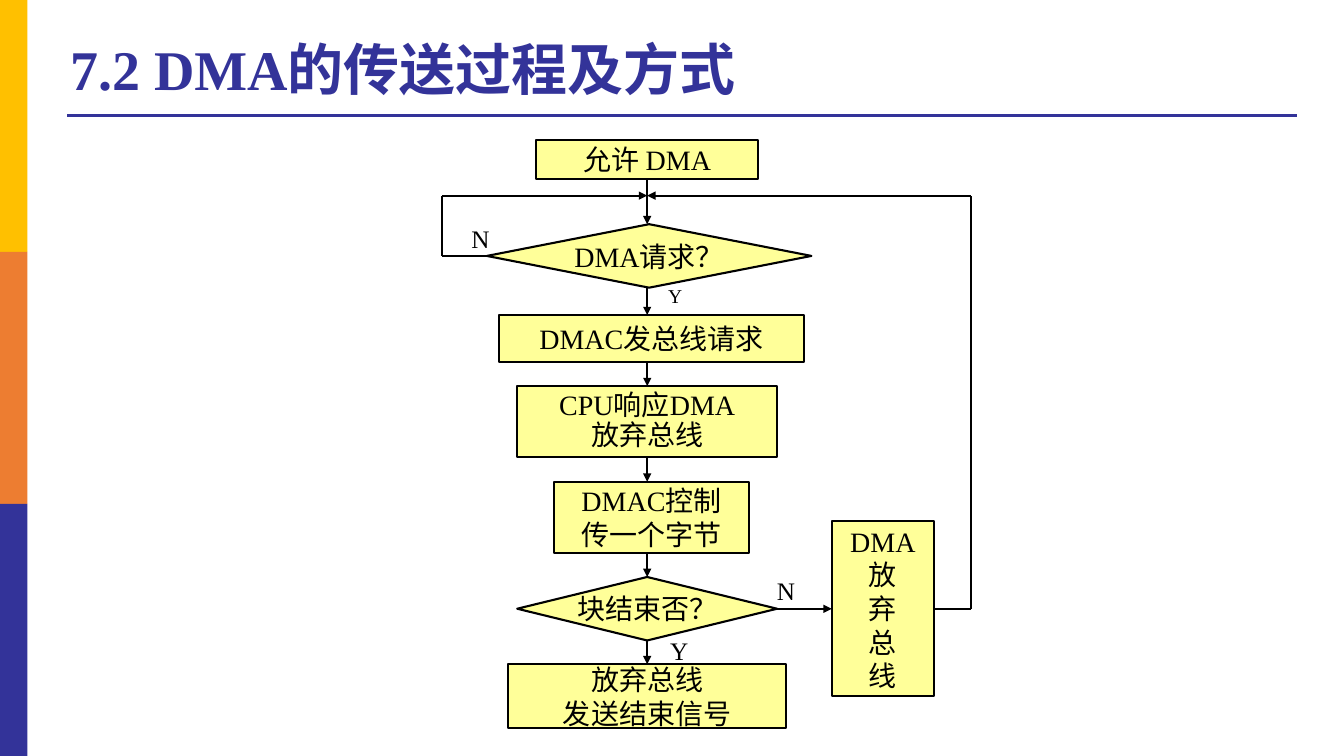
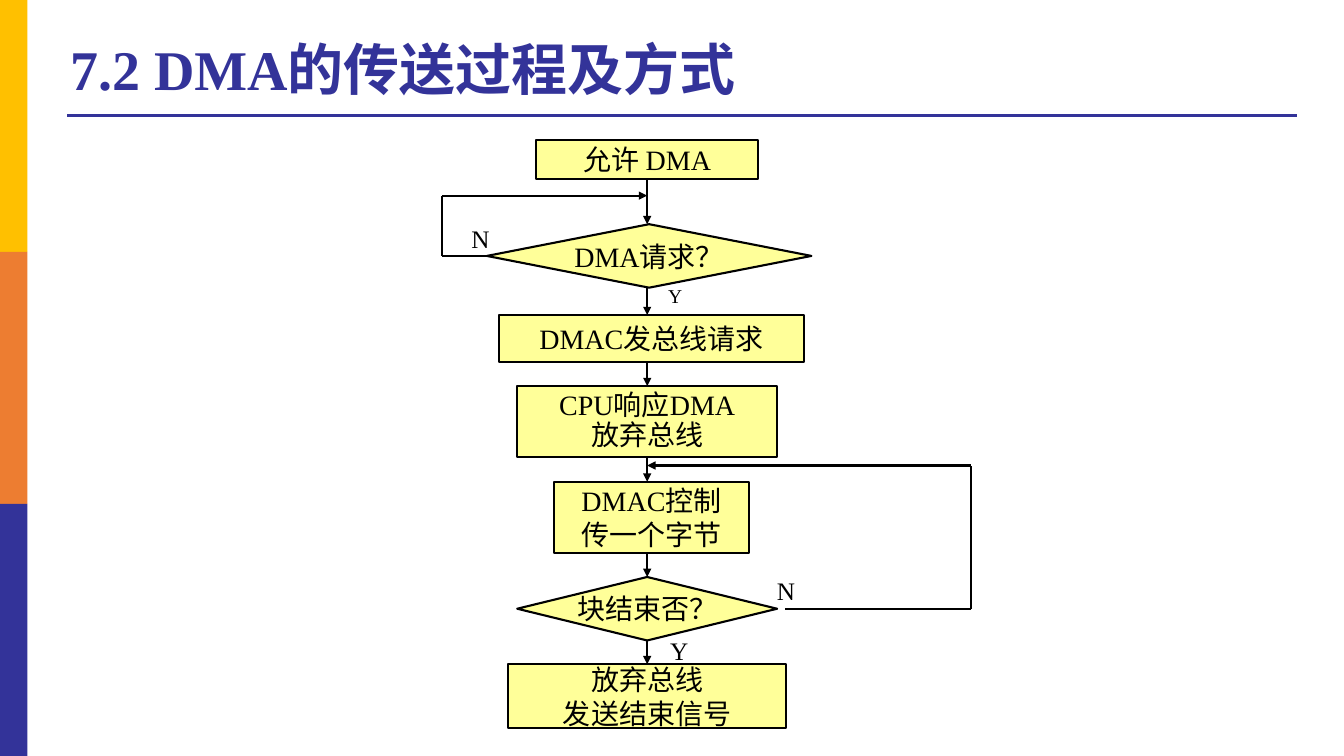
from dataclasses import dataclass
from itertools import pairwise

from lxml import etree
from pptx import Presentation
from pptx.dml.color import RGBColor
from pptx.enum import shapes, text
from pptx.oxml import ns
from pptx.util import Cm, Pt


@dataclass(frozen=True)
class Theme:
    font: str = "Times New Roman"
    accent: str = "333399"
    bands: tuple = ("FFC000", "ED7D31", "333399")
    box: str = "FFFF99"
    ink: str = "000000"
    title_size: int = 40
    step_size: int = 20
    branch_size: int = 18
    small_size: int = 14
    rule_width: float = 2.25
    line_width: float = 1.5


THEME = Theme()
SLIDE_W, SLIDE_H = 33.87, 19.05
TITLE = "7.2 DMA的传送过程及方式"

RECT = shapes.MSO_SHAPE.RECTANGLE
DECISION = shapes.MSO_SHAPE.FLOWCHART_DECISION

# Flow geometry in centimetres
AXIS = 16.31
LOOP_LEFT, LOOP_RIGHT = 11.15, 24.46
REQUEST_ENTRY, TRANSFER_ENTRY = 4.93, 11.73
REQUEST_Y, BLOCK_END_Y = 6.45, 15.34

# shape, lines, centre, top, width, height, line spacing
STEPS = [
    (RECT, ["允许 DMA"], AXIS, 3.53, 5.61, 0.99, 1),
    (DECISION, ["DMA请求？"], 16.36, 5.65, 8.18, 1.6, 1),
    (RECT, ["DMAC发总线请求"], 16.42, 7.94, 7.7, 1.19, 1),
    (RECT, ["CPU响应DMA", "放弃总线"], AXIS, 9.73, 6.55, 1.79, 0.9),
    (RECT, ["DMAC控制", "传一个字节"], 16.42, 12.14, 4.9, 1.8, 1),
    (DECISION, ["块结束否？"], AXIS, 14.54, 6.55, 1.6, 1),
    (RECT, ["放弃总线", "发送结束信号"], AXIS, 16.74, 7.01, 1.6, 1),
]

# text, left, top, width, height, size
BRANCHES = [
    ("N", 11.63, 5.51, 0.97, 1.02, THEME.branch_size),
    ("Y", 16.59, 7.04, 0.86, 0.86, THEME.small_size),
    ("N", 19.33, 14.38, 0.97, 1.02, THEME.branch_size),
    ("Y", 16.64, 15.88, 0.97, 1.02, THEME.branch_size),
]


def write(frame, lines, *, size, color=THEME.ink, bold=False, spacing=1,
          align=text.PP_ALIGN.LEFT, anchor=text.MSO_ANCHOR.TOP, wrap=False):
    frame.word_wrap = wrap
    frame.vertical_anchor = anchor
    for i, line in enumerate(lines):
        paragraph = frame.add_paragraph() if i else frame.paragraphs[0]
        paragraph.alignment = align
        paragraph.line_spacing = spacing
        run = paragraph.add_run()
        run.text = line
        run.font.name = THEME.font
        run.font.size = Pt(size)
        run.font.bold = bold
        run.font.color.rgb = RGBColor.from_string(color)


class Deck:
    def __init__(self, theme):
        self.theme = theme
        self.prs = Presentation()
        self.prs.slide_width, self.prs.slide_height = Cm(SLIDE_W), Cm(SLIDE_H)
        self.slide = None

    def new_slide(self, title):
        """Start a slide with the side bands, title and title rule."""
        self.slide = self.prs.slides.add_slide(self.prs.slide_layouts[6])
        self.line((1.7, 2.92), (32.69, 2.92), color=self.theme.accent,
                  width=self.theme.rule_width)
        band_height = SLIDE_H / len(self.theme.bands)
        for i, color in enumerate(self.theme.bands):
            self.block(RECT, 0, i * band_height, 0.69, band_height, color)
        heading = self.slide.shapes.add_textbox(Cm(1.52), Cm(0.71), Cm(25.17), Cm(2.21))
        write(heading.text_frame, [title], size=self.theme.title_size,
              color=self.theme.accent, bold=True, spacing=0.9,
              anchor=text.MSO_ANCHOR.MIDDLE, wrap=True)

    def block(self, kind, left, top, width, height, color):
        """Add a filled shape without outline."""
        block = self.slide.shapes.add_shape(kind, Cm(left), Cm(top), Cm(width), Cm(height))
        block.shadow.inherit = False
        block.fill.solid()
        block.fill.fore_color.rgb = RGBColor.from_string(color)
        block.line.fill.background()
        return block

    def step(self, kind, lines, centre, top, width, height, spacing=1):
        step = self.block(kind, centre - width / 2, top, width, height, self.theme.box)
        step.line.color.rgb = RGBColor.from_string(self.theme.ink)
        step.line.width = Pt(self.theme.line_width)
        write(step.text_frame, lines, size=self.theme.step_size, spacing=spacing,
              align=text.PP_ALIGN.CENTER, anchor=text.MSO_ANCHOR.MIDDLE)

    def branch(self, answer, left, top, width, height, size):
        label = self.slide.shapes.add_textbox(Cm(left), Cm(top), Cm(width), Cm(height))
        write(label.text_frame, [answer], size=size)
        label.text_frame.auto_size = text.MSO_AUTO_SIZE.SHAPE_TO_FIT_TEXT

    def line(self, start, end, arrow=False, color=THEME.ink, width=THEME.line_width):
        line = self.slide.shapes.add_connector(
            shapes.MSO_CONNECTOR.STRAIGHT, *map(Cm, start + end))
        line.line.color.rgb = RGBColor.from_string(color)
        line.line.width = Pt(width)
        properties = line.element.spPr
        if arrow:
            outline = properties.find(ns.qn("a:ln"))
            etree.SubElement(outline, ns.qn("a:tailEnd"), type="triangle")
        etree.SubElement(properties, ns.qn("a:effectLst"))

    def route(self, *points):
        """Join the points with lines and put an arrowhead on the last one."""
        for start, end in pairwise(points):
            self.line(start, end, arrow=end == points[-1])

    def flow(self):
        """Draw the steps, arrows and answers common to both transfer modes."""
        for upper, lower in pairwise(STEPS):
            self.line((AXIS, upper[3] + upper[5]), (AXIS, lower[3]), arrow=True)
        self.route((12.29, REQUEST_Y), (LOOP_LEFT, REQUEST_Y),
                   (LOOP_LEFT, REQUEST_ENTRY), (AXIS, REQUEST_ENTRY))
        for step in STEPS:
            self.step(*step)
        for branch in BRANCHES:
            self.branch(*branch)

    def return_loop(self, start_x, entry_y):
        """Lead from the block-end test back to the main flow."""
        self.route((start_x, BLOCK_END_Y), (LOOP_RIGHT, BLOCK_END_Y),
                   (LOOP_RIGHT, entry_y), (AXIS, entry_y))


def main():
    deck = Deck(THEME)

    deck.new_slide(TITLE)
    deck.flow()
    deck.step(RECT, ["DMA", *"放弃总线"], 22.25, 13.13, 2.58, 4.4)
    deck.route((19.58, BLOCK_END_Y), (20.96, BLOCK_END_Y))
    deck.return_loop(23.54, REQUEST_ENTRY)

    deck.new_slide(TITLE)
    deck.flow()
    deck.return_loop(19.79, TRANSFER_ENTRY)

    deck.prs.save("out.pptx")


if __name__ == "__main__":
    main()
